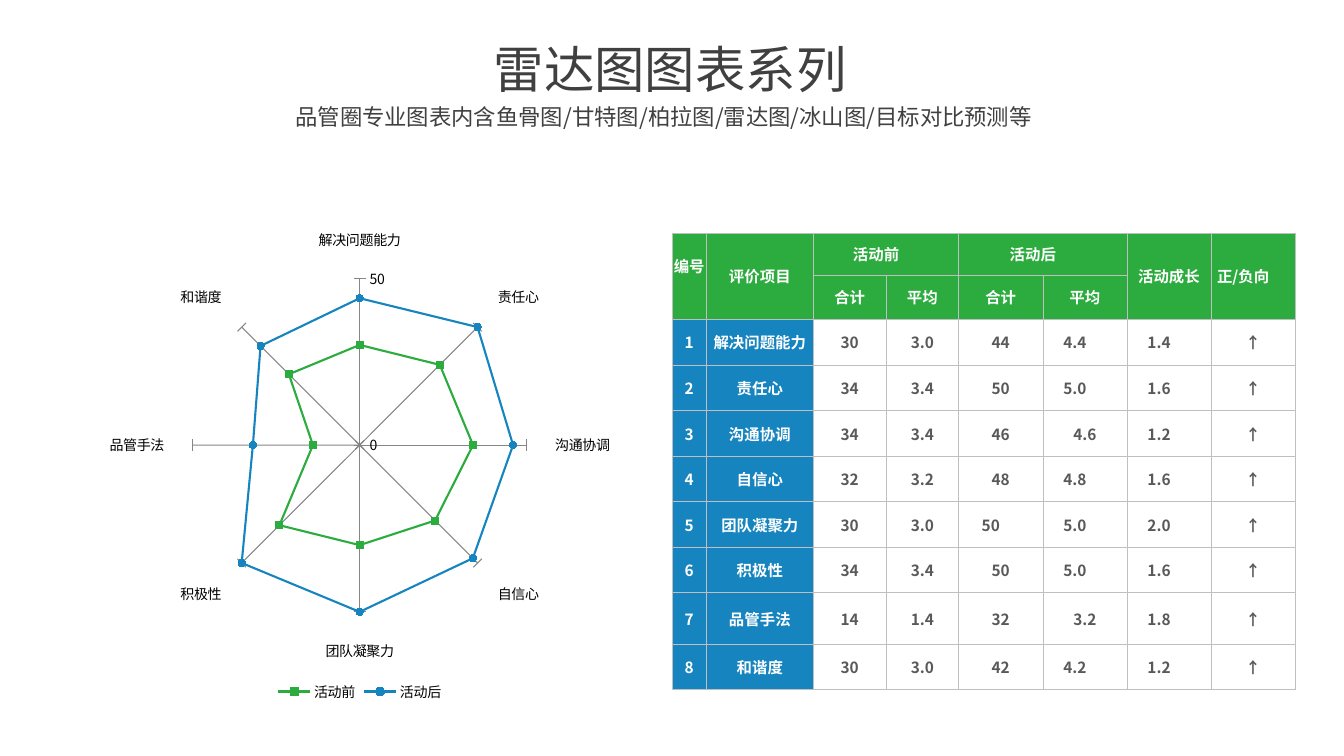
from lxml import etree
from pptx import Presentation
from pptx.chart.data import CategoryChartData
from pptx.dml.color import RGBColor
from pptx.enum.chart import XL_CHART_TYPE, XL_LEGEND_POSITION, XL_MARKER_STYLE, XL_TICK_MARK
from pptx.enum.text import MSO_ANCHOR, MSO_AUTO_SIZE, PP_ALIGN
from pptx.oxml.ns import qn
from pptx.util import Cm, Pt

RADAR = XL_CHART_TYPE.RADAR_MARKERS
BOTTOM = XL_LEGEND_POSITION.BOTTOM
SQUARE, CIRCLE = XL_MARKER_STYLE.SQUARE, XL_MARKER_STYLE.CIRCLE
CROSS, OUT = XL_TICK_MARK.CROSS, XL_TICK_MARK.OUTSIDE
TOP, MIDDLE = MSO_ANCHOR.TOP, MSO_ANCHOR.MIDDLE
LEFT, CENTER = PP_ALIGN.LEFT, PP_ALIGN.CENTER
NO_FIT = MSO_AUTO_SIZE.NONE
FACE = "Noto Sans CJK SC"
COLORS = {
    "title": "404040", "head": "2CAC3E", "side": "1684BF", "text": "595959",
    "white": "FFFFFF", "black": "000000", "grid": "BFBFBF", "axis": "868686",
}
SIDES = ("a:lnL", "a:lnR", "a:lnT", "a:lnB")


def color(name):
    return RGBColor.from_string(COLORS[name])


def style(font, props, size, name, bold=False):
    font.name = FACE
    font.size = Pt(size)
    font.bold = bold
    font.color.rgb = color(name)
    etree.SubElement(props, qn("a:ea"), typeface=FACE)


deck = Presentation()
deck.slide_width, deck.slide_height = Cm(33.87), Cm(19.05)
slide = deck.slides.add_slide(deck.slide_layouts[0])

heads = [
    (slide.shapes.title, "雷达图图表系列", 36, (12.19, 0.84, 9.5, 1.8), False),
    (slide.placeholders[1], "品管圈专业图表内含鱼骨图/甘特图/柏拉图/雷达图/冰山图/目标对比预测等",
     16, (7.19, 2.46, 19.4, 0.94), True),
]
for shape, text, size, box, wrap in heads:
    shape.left, shape.top, shape.width, shape.height = map(Cm, box)
    frame = shape.text_frame
    frame.text = text
    frame.auto_size = NO_FIT
    frame.word_wrap = wrap
    frame.vertical_anchor = TOP
    para = frame.paragraphs[0]
    para.alignment = LEFT
    para.space_before = Pt(0)
    run = para.runs[0]
    style(run.font, run._r.get_or_add_rPr(), size, "title")

skills = ["解决问题能力", "责任心", "沟通协调", "自信心", "团队凝聚力", "积极性", "品管手法", "和谐度"]
before = [30, 34, 34, 32, 30, 34, 14, 30]
after = [44, 50, 46, 48, 50, 50, 32, 42]

data = CategoryChartData()
data.categories = skills
data.add_series("活动前", before)
data.add_series("活动后", after)
chart = slide.shapes.add_chart(RADAR, Cm(-0.69), Cm(5.54), Cm(19.51), Cm(12.24), data).chart
font = chart.font
style(font, chart._chartSpace.xpath("c:txPr//a:defRPr")[0], 10, "black")
chart.has_title = False
chart.has_legend = True
chart.legend.position = BOTTOM
chart.legend.include_in_layout = False

scale = chart.value_axis
scale.minimum_scale, scale.maximum_scale, scale.major_unit = 0, 50, 50
scale.has_major_gridlines = False
scale.major_tick_mark = CROSS
scale.tick_labels.number_format = "0"
scale.tick_labels.number_format_is_linked = False
scale.format.line.color.rgb = color("axis")
scale.format.line.width = Pt(0.75)
chart.category_axis.major_tick_mark = OUT

for series, name, mark in zip(chart.plots[0].series, ("head", "side"), (SQUARE, CIRCLE)):
    series.smooth = False
    series.format.line.color.rgb = color(name)
    series.format.line.width = Pt(1.5)
    series.marker.style = mark
    series.marker.size = 5
    series.marker.format.fill.solid()
    series.marker.format.fill.fore_color.rgb = color(name)
    series.marker.format.line.color.rgb = color(name)

rows = [
    ["编号", "评价项目", "活动前", "", "活动后", "", "活动成长", "正/负向"],
    ["", "", "合计", "平均", "合计", "平均", "", ""],
]
for i, (skill, old, new) in enumerate(zip(skills, before, after), 1):
    rows.append([str(i), skill, str(old), f"{old / 10:.1f}", str(new),
                 f"{new / 10:.1f}", f"{(new - old) / 10:.1f}", "↑"])

widths = [0.86, 2.7, 1.83, 1.83] + [2.12] * 4
heights = [1.06] * 2 + [1.15] * 6 + [1.29, 1.15]
table = slide.shapes.add_table(
    len(rows), len(widths), Cm(16.94), Cm(5.87), Cm(sum(widths)), Cm(sum(heights))).table
for column, width in zip(table.columns, widths):
    column.width = Cm(width)
for line, height in zip(table.rows, heights):
    line.height = Cm(height)
for col in (0, 1, 6, 7):
    table.cell(0, col).merge(table.cell(1, col))
for col in (2, 4):
    table.cell(0, col).merge(table.cell(0, col + 1))

shifts = {(0, 2), (0, 4), (0, 7), (6, 4)}
shifts |= {(r, c) for r in range(2, 10) for c in (5, 6)}
shifts -= {(4, 5), (8, 5)}

for r, row in enumerate(rows):
    for c, text in enumerate(row):
        cell = table.cell(r, c)
        cell.margin_left = cell.margin_top = 0
        cell.margin_right = Cm(0.5 if (r, c) in shifts else 0)
        cell.margin_bottom = Cm(0.55 if (r, c) == (0, 0) else 0)
        cell.vertical_anchor = MIDDLE
        props = cell._tc.get_or_add_tcPr()
        for side in SIDES:
            edge = etree.SubElement(props, qn(side), w=str(Pt(0.5)))
            fill = etree.SubElement(edge, qn("a:solidFill"))
            etree.SubElement(fill, qn("a:srgbClr"), val=COLORS["grid"])
        back = "head" if r < 2 else "side" if c < 2 else "white"
        cell.fill.solid()
        cell.fill.fore_color.rgb = color(back)
        if text:
            para = cell.text_frame.paragraphs[0]
            para.text = text
            para.alignment = CENTER
            run = para.runs[0]
            style(run.font, run._r.get_or_add_rPr(), 11,
                  "text" if back == "white" else "white", True)

deck.save("out.pptx")
